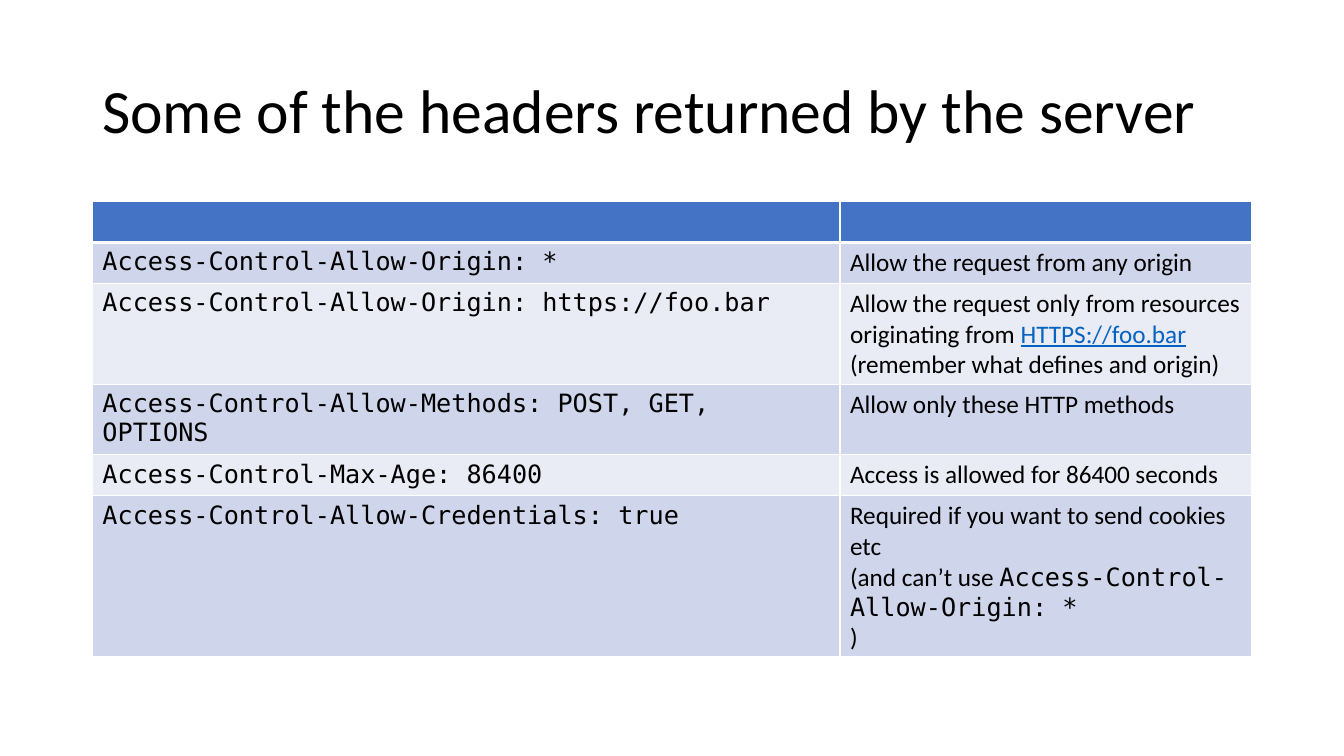
from lxml import etree
from pptx import Presentation
from pptx.dml.color import RGBColor
from pptx.enum.text import MSO_ANCHOR
from pptx.oxml.ns import qn
from pptx.util import Pt

MIDDLE = MSO_ANCHOR.MIDDLE
BLACK = RGBColor(0x00, 0x00, 0x00)
WHITE = RGBColor(0xFF, 0xFF, 0xFF)
HEADER = RGBColor(0x44, 0x72, 0xC4)
BANDS = (RGBColor(0xCF, 0xD5, 0xEA), RGBColor(0xE9, 0xEB, 0xF5))
LINK = RGBColor(0x05, 0x63, 0xC1)
SANS = "Calibri"
MONO = "DejaVu Sans Mono"

LEFT, WIDTH = 66, 828
COLUMNS = (534, 294)
ROW_HEIGHT = 29.2

RESPONSE_HEADERS = [
    ("Access-Control-Allow-Origin: *",
     [[("Allow the request from any origin", {})]]),
    ("Access-Control-Allow-Origin: https://foo.bar",
     [[("Allow the request only from resources originating from ", {}),
       ("HTTPS://foo.bar", {"color": LINK, "underline": True}),
       (" (remember what defines and origin)", {})]]),
    ("Access-Control-Allow-Methods: POST, GET, OPTIONS",
     [[("Allow only these HTTP methods", {})]]),
    ("Access-Control-Max-Age: 86400",
     [[("Access is allowed for 86400 seconds", {})]]),
    ("Access-Control-Allow-Credentials: true",
     [[("Required if you want to send cookies etc\n(and can’t use ", {}),
       ("Access-Control-Allow-Origin: *", {"font": MONO})],
      [(")", {})]]),
]


def add_text(p, text, size=18, font=SANS, color=BLACK, underline=None):
    """Add formatted text to a paragraph, with a line break at each newline."""
    for i, line in enumerate(text.split("\n")):
        if i:
            p.add_line_break()
        r = p.add_run()
        r.text = line
        r.font.size = Pt(size)
        r.font.name = font
        r.font.color.rgb = color
        r.font.underline = underline


def add_title(s, text):
    """Add the slide title."""
    tf = s.shapes.add_textbox(Pt(LEFT), Pt(28.75), Pt(WIDTH), Pt(104.4)).text_frame
    tf.word_wrap = True
    tf.vertical_anchor = MIDDLE
    p = tf.paragraphs[0]
    p.line_spacing = 0.9
    add_text(p, text, size=44)


def style_cell(cell, fill, top=1, bottom=1):
    """Give a cell its white borders and its fill."""
    tc_pr = cell._tc.get_or_add_tcPr()
    for side, width in (("L", 1), ("R", 1), ("T", top), ("B", bottom)):
        ln = etree.SubElement(tc_pr, qn(f"a:ln{side}"), w=str(Pt(width)))
        solid = etree.SubElement(ln, qn("a:solidFill"))
        etree.SubElement(solid, qn("a:srgbClr"), val=str(WHITE))
    cell.fill.solid()
    cell.fill.fore_color.rgb = fill


def fill_cell(cell, paragraphs):
    """Write paragraphs of (text, format) runs into a cell."""
    tf = cell.text_frame
    for i, runs in enumerate(paragraphs):
        p = tf.add_paragraph() if i else tf.paragraphs[0]
        for text, fmt in runs:
            add_text(p, text, **fmt)


def add_header_table(s, entries):
    """Add the table of response headers under an empty heading row."""
    rows = len(entries) + 1
    table = s.shapes.add_table(rows, len(COLUMNS), Pt(LEFT), Pt(144),
                               Pt(WIDTH), Pt(ROW_HEIGHT * rows)).table
    for column, width in zip(table.columns, COLUMNS):
        column.width = Pt(width)
    for row in table.rows:
        row.height = Pt(ROW_HEIGHT)
    for cell in table.rows[0].cells:
        style_cell(cell, HEADER, bottom=3)
    for i, (header, meaning) in enumerate(entries):
        contents = ([[(header, {"font": MONO})]], meaning)
        for cell, paragraphs in zip(table.rows[i + 1].cells, contents):
            style_cell(cell, BANDS[i % 2], top=1 if i else 3)
            fill_cell(cell, paragraphs)


def main():
    """Build and save the slide."""
    prs = Presentation()
    prs.slide_width, prs.slide_height = Pt(960), Pt(540)
    s = prs.slides.add_slide(prs.slide_layouts[6])
    add_title(s, "Some of the headers returned by the server")
    add_header_table(s, RESPONSE_HEADERS)
    prs.save("out.pptx")


if __name__ == "__main__":
    main()
